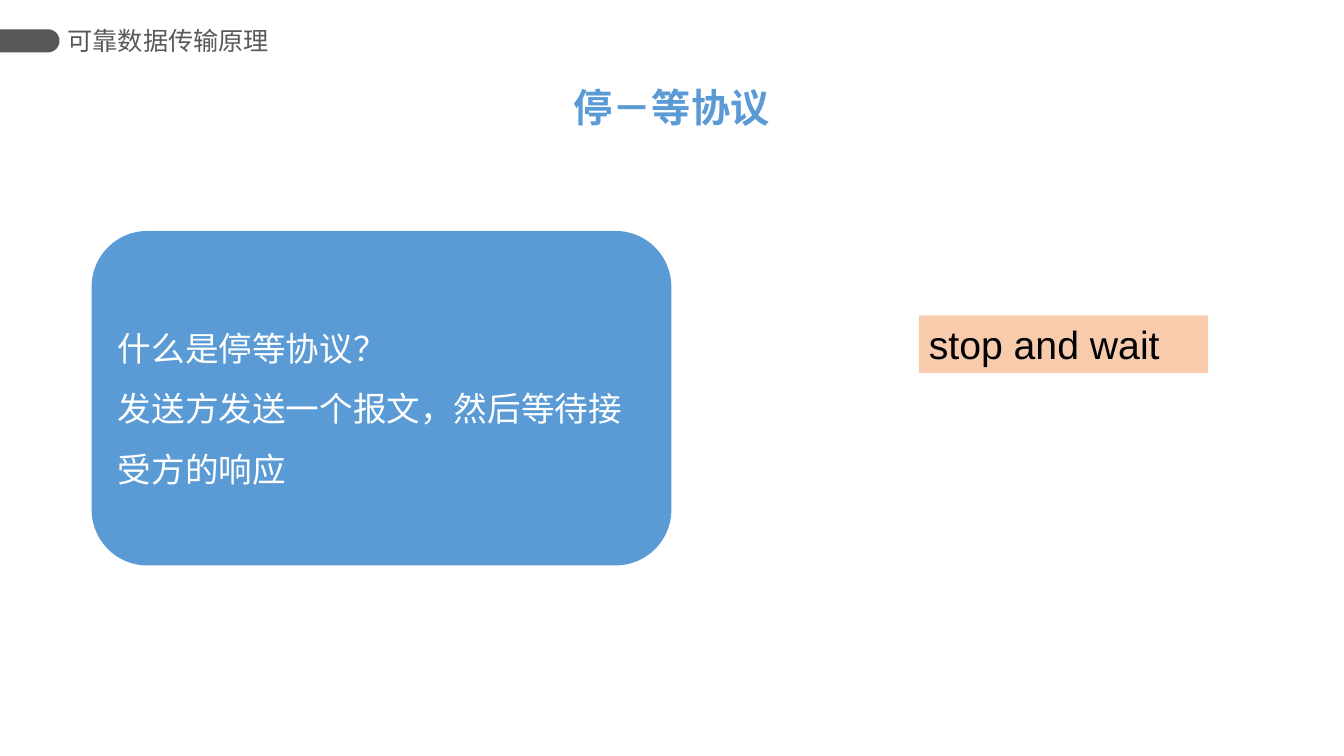
"""Build the slide that introduces the stop-and-wait protocol."""
from dataclasses import dataclass
from math import cos, pi, sin
from typing import Optional

from lxml.etree import SubElement
from pptx import Presentation
from pptx.dml.color import RGBColor
from pptx.enum.shapes import MSO_SHAPE
from pptx.enum.text import MSO_ANCHOR, PP_ALIGN
from pptx.oxml.ns import qn
from pptx.shapes.autoshape import Shape
from pptx.slide import Slide
from pptx.util import Cm, Pt

COLORS = {
    "tab": "575757",
    "header": "595959",
    "blue": "5B9BD5",
    "peach": "F8CBAD",
    "white": "FFFFFF",
    "black": "000000",
}
CHINESE_FONT = "Noto Sans CJK SC"


@dataclass(frozen=True)
class Panel:
    left: float
    top: float
    width: float
    height: float
    lines: tuple[str, ...]
    size: int
    color: str
    font: str = "Arial"
    geometry: Optional[MSO_SHAPE] = None
    fill: str = ""
    bold: bool = False
    wrap: bool = True
    side_margin: float = 0.25
    line_spacing: float = 1.0
    align: PP_ALIGN = PP_ALIGN.LEFT
    anchor: MSO_ANCHOR = MSO_ANCHOR.TOP


PANELS = (
    Panel(2.31, 5.82, 14.61, 8.43,
          ("什么是停等协议？", "发送方发送一个报文，然后等待接受方的响应"),
          24, "white", font=CHINESE_FONT, geometry=MSO_SHAPE.ROUNDED_RECTANGLE,
          fill="blue", line_spacing=1.5, anchor=MSO_ANCHOR.MIDDLE),
    Panel(1.7, 0.48, 5.92, 1.07, ("可靠数据传输原理",), 18, "header",
          side_margin=0, anchor=MSO_ANCHOR.MIDDLE),
    Panel(14.17, 1.98, 5.51, 1.45, ("停－等协议",), 28, "blue",
          bold=True, wrap=False, align=PP_ALIGN.CENTER),
    Panel(23.16, 7.95, 7.29, 1.45, ("stop and wait",), 28, "black",
          geometry=MSO_SHAPE.RECTANGLE, fill="peach"),
)


def paint(shape: Shape, color: str) -> None:
    shape.shadow.inherit = False
    shape.fill.solid()
    shape.fill.fore_color.rgb = RGBColor.from_string(COLORS[color])
    shape.line.fill.background()


def write_text(shape: Shape, lines: tuple[str, ...], *, size: int, color: str, font: str,
               bold: bool, wrap: bool, side_margin: float, line_spacing: float,
               align: PP_ALIGN, anchor: MSO_ANCHOR) -> None:
    frame = shape.text_frame
    frame.word_wrap = wrap
    frame.vertical_anchor = anchor
    frame.margin_left = frame.margin_right = Cm(side_margin)
    frame.text = "\n".join(lines)
    for paragraph in frame.paragraphs:
        paragraph.alignment = align
        paragraph.line_spacing = line_spacing
        for run in paragraph.runs:
            run.font.name = font
            run.font.size = Pt(size)
            run.font.bold = bold
            run.font.color.rgb = RGBColor.from_string(COLORS[color])
            east_asian = SubElement(run.font._element, qn("a:ea"))
            east_asian.set("typeface", CHINESE_FONT)


def add_panel(slide: Slide, panel: Panel) -> None:
    box = (Cm(panel.left), Cm(panel.top), Cm(panel.width), Cm(panel.height))
    if panel.geometry is None:
        shape = slide.shapes.add_textbox(*box)
    else:
        shape = slide.shapes.add_shape(panel.geometry, *box)
        paint(shape, panel.fill)
    write_text(shape, panel.lines, size=panel.size, color=panel.color, font=panel.font,
               bold=panel.bold, wrap=panel.wrap, side_margin=panel.side_margin,
               line_spacing=panel.line_spacing, align=panel.align, anchor=panel.anchor)


def add_header_tab(slide: Slide, top: float, width: float, height: float) -> None:
    radius = height / 2
    steps = 24
    angles = [pi * step / steps - pi / 2 for step in range(steps + 1)]
    arc = [(Cm(width - radius + radius * cos(angle)), Cm(top + radius + radius * sin(angle)))
           for angle in angles]
    builder = slide.shapes.build_freeform(Cm(0), Cm(top))
    builder.add_line_segments([*arc, (Cm(0), Cm(top + height))], close=True)
    paint(builder.convert_to_shape(), "tab")


def main() -> None:
    presentation = Presentation()
    presentation.slide_width = Cm(33.87)
    presentation.slide_height = Cm(19.05)
    slide = presentation.slides.add_slide(presentation.slide_layouts[6])
    add_header_tab(slide, top=0.74, width=1.5, height=0.58)
    for panel in PANELS:
        add_panel(slide, panel)
    presentation.save("out.pptx")


if __name__ == "__main__":
    main()
